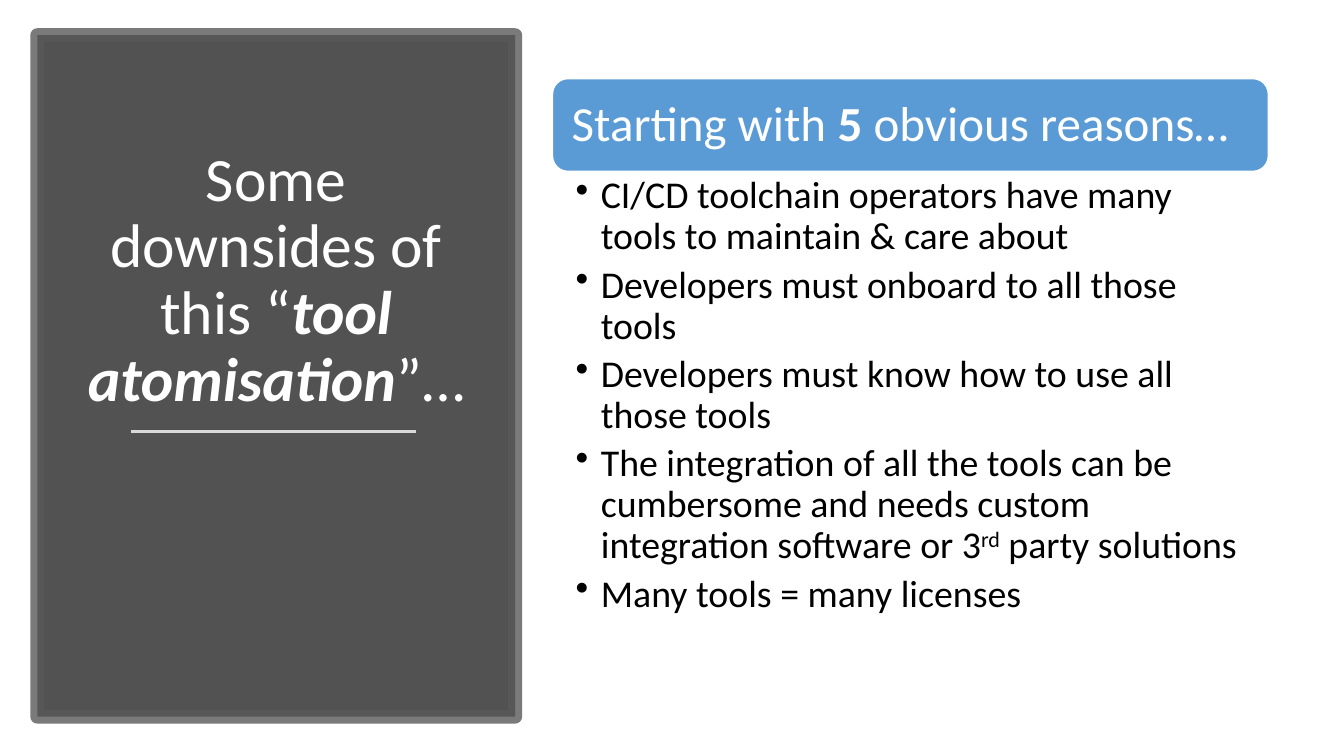
from lxml.etree import SubElement
from pptx import Presentation
from pptx.dml.color import RGBColor
from pptx.enum.shapes import MSO_CONNECTOR as Connector, MSO_SHAPE as Shape
from pptx.enum.text import MSO_ANCHOR as Anchor, PP_ALIGN as Align
from pptx.oxml.ns import qn
from pptx.util import Inches, Pt


def paint(color_format, color, opacity=100):
    color_format.rgb = RGBColor.from_string(color)


def add_text(page, place, margins, anchor, paragraphs, size, color, after=0):
    """Add a text box; each paragraph is a list of (text, style) spans."""
    box = page.shapes.add_textbox(*[Inches(length) for length in place])
    frame = box.text_frame
    frame.word_wrap = True
    frame.vertical_anchor = anchor
    (frame.margin_left, frame.margin_top,
     frame.margin_right, frame.margin_bottom) = [Inches(m) for m in margins]
    for index, spans in enumerate(paragraphs):
        para = frame.add_paragraph() if index else frame.paragraphs[0]
        para.line_spacing = 0.9
        para.space_after = Pt(after)
        para.font.name = "Calibri"
        para.font.size = Pt(size)
        paint(para.font.color, color)
        for text, style in spans:
            span = para.add_run()
            span.text = text
            if "bold" in style:
                span.font.bold = True
            if "italic" in style:
                span.font.italic = True
            if "super" in style:
                span.font._element.set("baseline", "30000")
    return frame


deck = Presentation()
deck.slide_width = Inches(13.33)
deck.slide_height = Inches(7.5)
page = deck.slides.add_slide(deck.slide_layouts[6])

# Dark panel with a translucent fill and frame
panel = page.shapes.add_shape(
    Shape.RECTANGLE, Inches(0.37), Inches(0.35), Inches(4.74), Inches(6.76))
panel.shadow.inherit = False
panel.fill.solid()
paint(panel.fill.fore_color, "404040")
panel.line.width = Pt(10)
paint(panel.line.color, "595959")
colors = panel._element.spPr.iter(qn("a:srgbClr"))
for color, opacity in zip(list(colors), (90, 80)):
    SubElement(color, qn("a:alpha")).set("val", str(opacity * 1000))

# Title and the rule below it
title = add_text(
    page, (0.74, 1, 4, 3.16), (0.1, 0.05, 0.1, 0.05), Anchor.BOTTOM,
    [[("Some downsides of this “", ""), ("tool atomisation", "bold italic"),
      ("”…", "")]], 44, "FFFFFF")
title.paragraphs[0].alignment = Align.CENTER

rule = page.shapes.add_connector(
    Connector.STRAIGHT, Inches(1.3), Inches(4.28), Inches(4.13), Inches(4.28))
rule.line.width = Pt(1.75)
paint(rule.line.color, "D9D9D9")
SubElement(rule._element.spPr, qn("a:effectLst"))

# Blue heading bar
bar = page.shapes.add_shape(
    Shape.ROUNDED_RECTANGLE, Inches(5.48), Inches(0.78), Inches(7.1), Inches(0.92))
bar.shadow.inherit = False
bar.fill.solid()
paint(bar.fill.fore_color, "5B9BD5")
bar.line.width = Pt(1)
paint(bar.line.color, "FFFFFF")
add_text(
    page, (5.52, 0.83, 7.01, 0.83), (0.15,) * 4, Anchor.MIDDLE,
    [[("Starting with ", ""), ("5", "bold"), (" obvious reasons…", "")]],
    35, "FFFFFF")

# Bulleted reasons
reasons = [
    [("CI/CD toolchain operators have many tools to maintain & care about", "")],
    [("Developers must onboard to all those tools", "")],
    [("Developers must know how to use all those tools", "")],
    [("The integration of all the tools can be cumbersome and needs custom "
      "integration software or 3", ""), ("rd", "super"), (" party solutions", "")],
    [("Many tools = many licenses", "")],
]
reason_list = add_text(
    page, (5.48, 1.7, 7.1, 4.6), (0.23, 0.05, 0.27, 0.05), Anchor.TOP,
    reasons, 27, "000000", after=5.4)
for para in reason_list.paragraphs:
    properties = para._p.get_or_add_pPr()
    properties.set("marL", str(Inches(0.25)))
    properties.set("indent", str(-Inches(0.25)))
    bullet = SubElement(properties, qn("a:buChar"))
    bullet.set("char", "•")
    properties.find(qn("a:defRPr")).addprevious(bullet)

deck.save("out.pptx")
